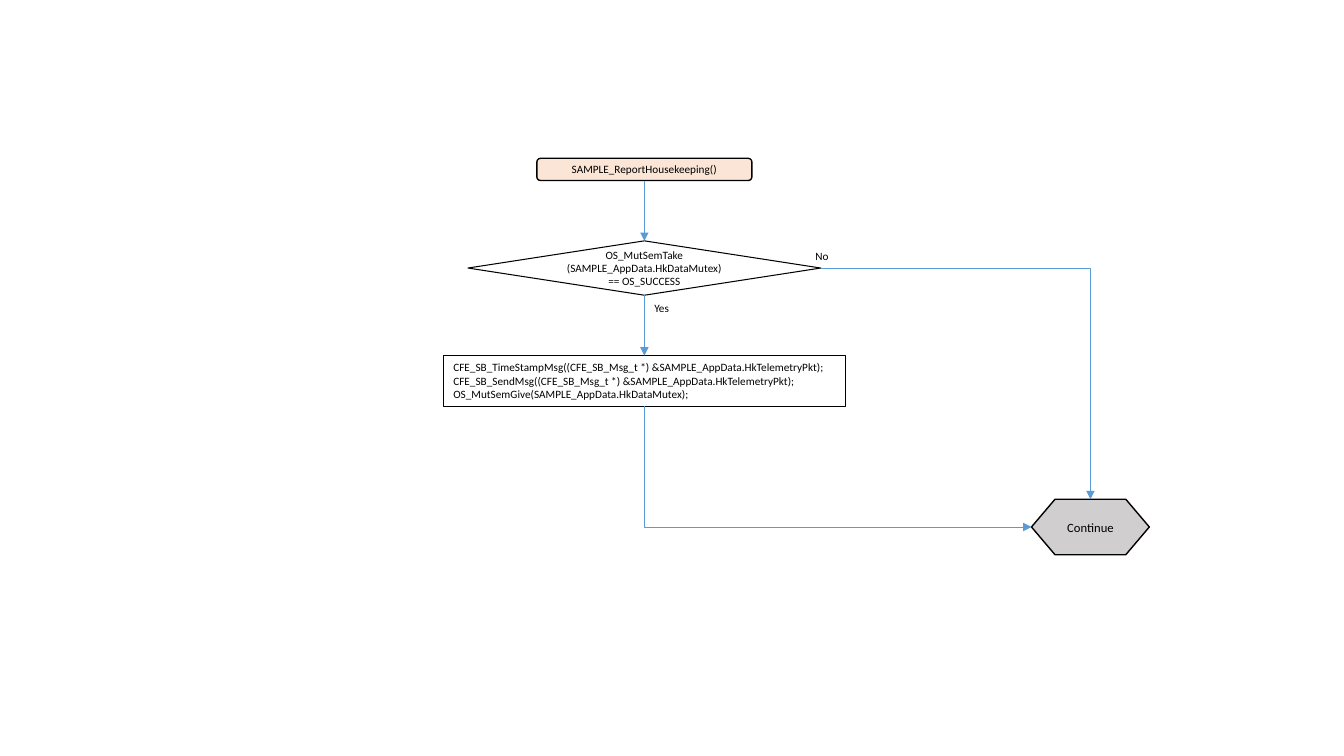
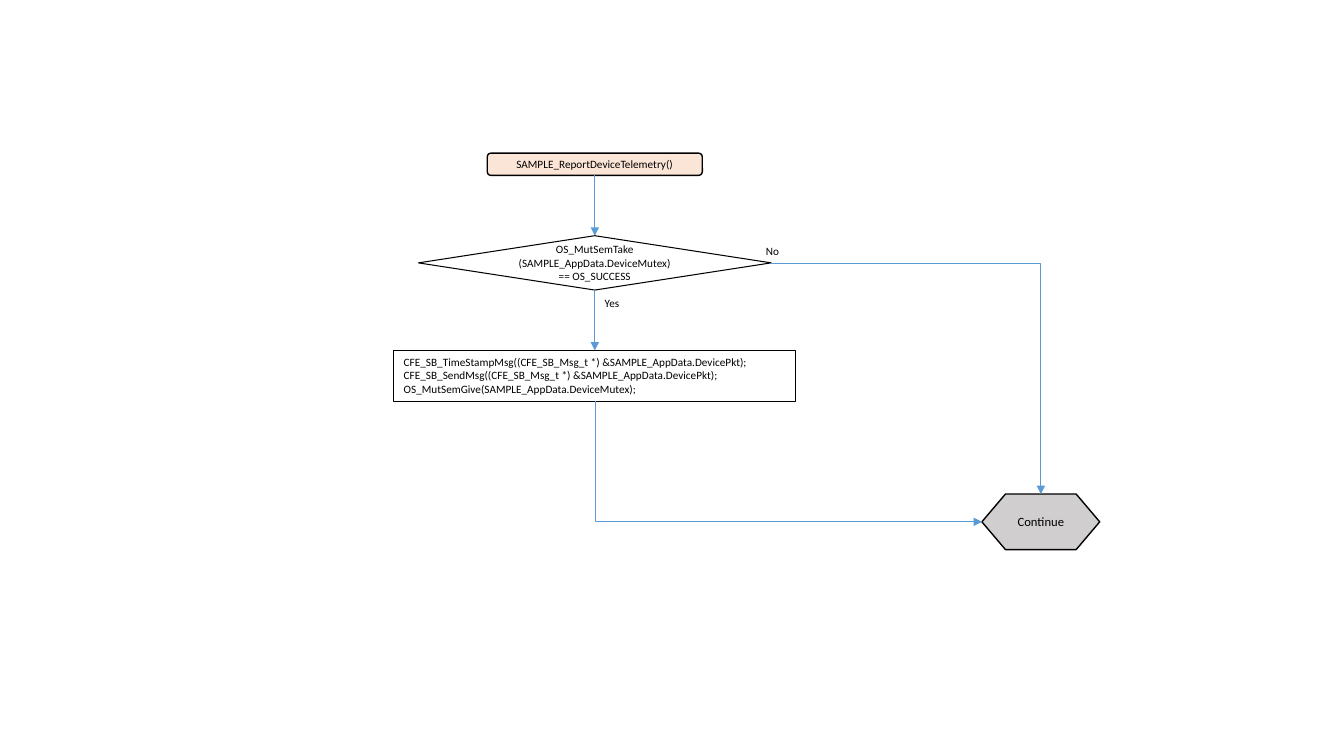
from dataclasses import dataclass

from lxml import etree
from pptx import Presentation
from pptx import util as u
from pptx.dml import color
from pptx.enum import shapes, text
from pptx.oxml import ns

KIND = shapes.MSO_SHAPE
ALIGN = text.PP_ALIGN
TOP, LEFT, BASE, RIGHT = range(4)  # connection sites


@dataclass(frozen=True)
class Theme:
    """Colours, font and type sizes of the flow charts."""
    ink: str = "000000"
    start: str = "FBE5D6"
    end: str = "D0CECE"
    link: str = "5B9BD5"
    font: str = "Calibri"
    small: float = 8
    large: float = 9


THEME = Theme()


def rgb(code):
    """Return the colour for a hex code."""
    return color.RGBColor.from_string(code)


def write(frame, lines, size=THEME.small, align=ALIGN.LEFT):
    """Fill a text frame with one paragraph per line."""
    frame.word_wrap = True
    frame.text = "\n".join(lines)
    for para in frame.paragraphs:
        para.alignment = align
        para.font.name = THEME.font
        para.font.size = u.Pt(size)
        para.font.color.rgb = rgb(THEME.ink)


def add_node(slide, kind, mid, top, width, height, lines, fill=None,
             line=0.75, size=THEME.small, align=ALIGN.CENTER,
             anchor=text.MSO_ANCHOR.MIDDLE):
    """Add an outlined node centred on mid; lengths are in cm."""
    node = slide.shapes.add_shape(kind, u.Cm(mid - width / 2), u.Cm(top),
                                  u.Cm(width), u.Cm(height))
    node.shadow.inherit = False
    if fill:
        node.fill.solid()
        node.fill.fore_color.rgb = rgb(fill)
    else:
        node.fill.background()
    node.line.color.rgb = rgb(THEME.ink)
    node.line.width = u.Pt(line)
    write(node.text_frame, lines, size, align)
    node.text_frame.vertical_anchor = anchor
    return node


def add_label(slide, word, left, top, width):
    """Add a branch label; lengths are in cm."""
    box = slide.shapes.add_textbox(u.Cm(left), u.Cm(top), u.Cm(width), u.Cm(0.61))
    write(box.text_frame, [word])


def add_link(slide, first, out, last, into):
    """Join two nodes by an arrow, with one bend unless it runs straight down."""
    bent = (out, into) != (BASE, TOP)
    kind = shapes.MSO_CONNECTOR.ELBOW if bent else shapes.MSO_CONNECTOR.STRAIGHT
    link = slide.shapes.add_connector(kind, 0, 0, 0, 0)
    link.begin_connect(first, out)
    link.end_connect(last, into)
    link.line.color.rgb = rgb(THEME.link)
    link.line.width = u.Pt(0.5)
    props = link._element.spPr
    if bent:
        props.find(ns.qn("a:prstGeom")).set("prst", "bentConnector2")
    if bent and out == BASE:
        turn_link(link)
    etree.SubElement(link.line._get_or_add_ln(), ns.qn("a:tailEnd"), type="triangle")
    etree.SubElement(props, ns.qn("a:effectLst"))


def turn_link(link):
    """Make a bent link run down first, then right."""
    wide, high = link.width, link.height
    shift = (wide - high) // 2
    link.left, link.top = link.left + shift, link.top - shift
    link.width, link.height = high, wide
    frame = link._element.spPr.find(ns.qn("a:xfrm"))
    frame.set("rot", "16200000")
    frame.set("flipH", "1")


def add_flow(deck, mid, top, name, mutex, packet):
    """Add a slide with the flow of one report function."""
    slide = deck.slides.add_slide(deck.slide_layouts[6])
    start = add_node(slide, KIND.ROUNDED_RECTANGLE, mid, top, 5.42, 0.56,
                     [f"SAMPLE_{name}()"], THEME.start, line=1)
    test = add_node(slide, KIND.DIAMOND, mid, top + 2.08, 8.89, 1.37,
                    ["OS_MutSemTake", f"(SAMPLE_AppData.{mutex})", "== OS_SUCCESS"])
    end = add_node(slide, KIND.FLOWCHART_PREPARATION, mid + 11.24, top + 8.59,
                   2.97, 1.4, ["Continue"], THEME.end, line=1, size=THEME.large)
    calls = [f"CFE_SB_{verb}Msg((CFE_SB_Msg_t *) &SAMPLE_AppData.{packet});"
             for verb in ("TimeStamp", "Send")]
    task = add_node(slide, KIND.RECTANGLE, mid, top + 4.97, 10.13, 1.28,
                    calls + [f"OS_MutSemGive(SAMPLE_AppData.{mutex});"],
                    align=ALIGN.LEFT, anchor=text.MSO_ANCHOR.TOP)
    add_label(slide, "Yes", mid, top + 3.48, 0.95)
    add_label(slide, "No", mid + 4.06, top + 2.16, 1.12)
    add_link(slide, test, BASE, task, TOP)
    add_link(slide, start, BASE, test, TOP)
    add_link(slide, test, RIGHT, end, TOP)
    add_link(slide, task, BASE, end, LEFT)


def main():
    """Build and save the deck."""
    deck = Presentation()
    deck.slide_width, deck.slide_height = u.Cm(33.87), u.Cm(19.05)
    add_flow(deck, 16.24, 3.99, "ReportHousekeeping", "HkDataMutex", "HkTelemetryPkt")
    add_flow(deck, 14.99, 3.86, "ReportDeviceTelemetry", "DeviceMutex", "DevicePkt")
    deck.save("out.pptx")


main()
